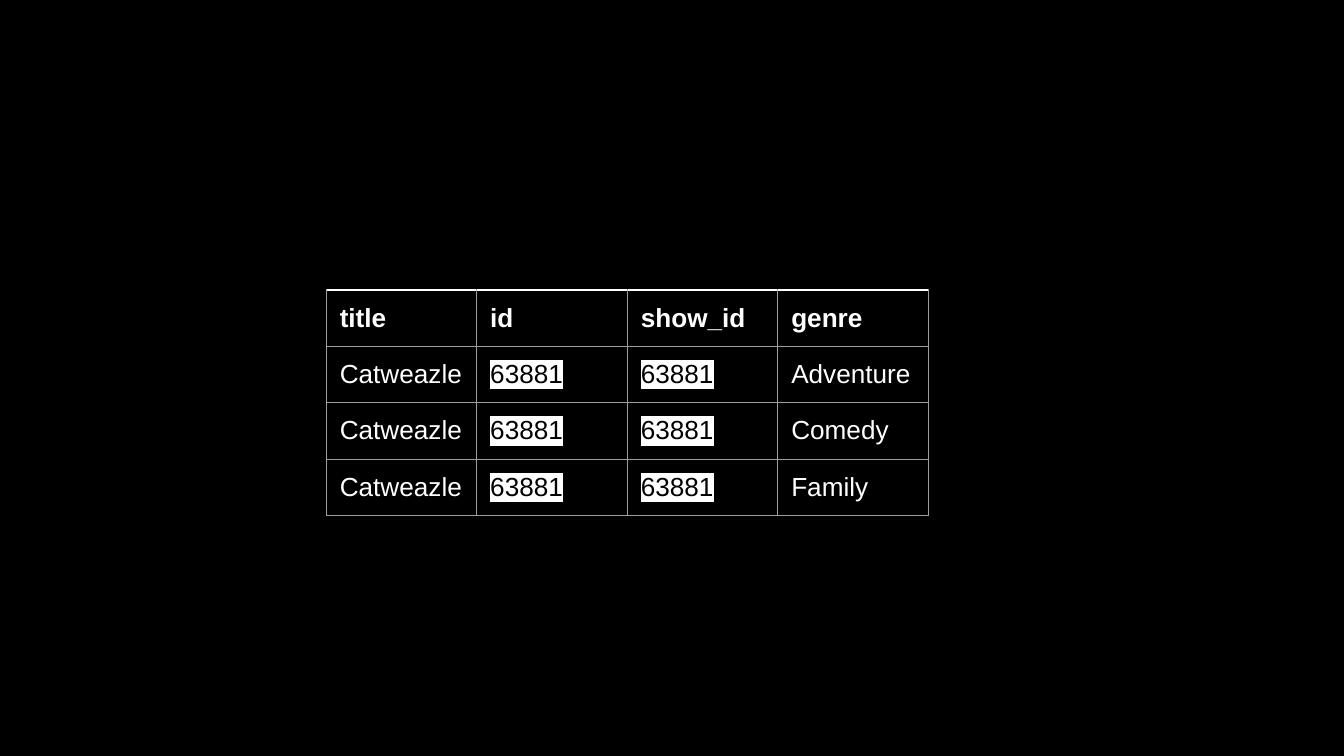
import pptx
import pptx.util
import pptx.dml.color
import pptx.oxml
import pptx.oxml.ns
from lxml import etree

Pt = pptx.util.Pt
qn = pptx.oxml.ns.qn

# Content: the two joined tables, back to front
SHOW = "63881"
GENRES = [
    ["show_id", "genre"],
    [SHOW, "Adventure"],
    [SHOW, "Comedy"],
    [SHOW, "Family"],
]
TITLES = [["title", "id"]] + [["Catweazle", SHOW]] * 3

COLORS = {"back": "000000", "text": "FFFFFF", "mark": "FFFFFF",
          "key": "000000", "grid": "9E9E9E", "top": "FFFFFF"}
LEFT, TOP = 174.8, 155.4
COL, ROW = 80.64, 30.2
PAD, SIZE, LINE = 7.2, 14, 0.75


def rgb(name):
    return pptx.dml.color.RGBColor.from_string(COLORS[name])


def add_color(parent, tag, name):
    node = etree.SubElement(parent, qn(tag))
    etree.SubElement(node, qn("a:srgbClr")).set("val", COLORS[name])
    return node


def set_grid(cell, head):
    props = cell._tc.get_or_add_tcPr()
    for i, side in enumerate("LRTB"):
        line = etree.Element(qn("a:ln" + side), w=str(Pt(LINE)))
        add_color(line, "a:solidFill", "top" if head and side == "T" else "grid")
        props.insert(i, line)


def set_text(cell, text, head):
    cell.text_frame.text = text
    run = cell.text_frame.paragraphs[0].runs[0]
    font = run.font
    font.name, font.size, font.bold = "Arial", Pt(SIZE), head
    font.color.rgb = rgb("key" if text == SHOW else "text")
    if text == SHOW:
        props = run._r.get_or_add_rPr()
        mark = add_color(props, "a:highlight", "mark")
        props.find(qn("a:solidFill")).addnext(mark)


def add_grid(slide, rows, left):
    count, width = len(rows), len(rows[0])
    table = slide.shapes.add_table(count, width, Pt(left), Pt(TOP),
                                   Pt(COL * width), Pt(ROW * count)).table
    table.first_row = table.horz_banding = False
    for col in table.columns:
        col.width = Pt(COL)
    for r, row in enumerate(rows):
        table.rows[r].height = Pt(ROW)
        for c, text in enumerate(row):
            cell = table.cell(r, c)
            cell.margin_left = cell.margin_right = Pt(PAD)
            cell.margin_top = cell.margin_bottom = Pt(PAD)
            cell.fill.background()
            set_grid(cell, r == 0)
            set_text(cell, text, r == 0)


def main():
    deck = pptx.Presentation()
    deck.slide_width, deck.slide_height = Pt(720), Pt(405)
    slide = deck.slides.add_slide(deck.slide_layouts[6])
    fill = slide.background.fill
    fill.solid()
    fill.fore_color.rgb = rgb("back")

    # Genre table stands right of the title table
    add_grid(slide, GENRES, LEFT + 2 * COL)
    add_grid(slide, TITLES, LEFT)
    deck.save("out.pptx")


if __name__ == "__main__":
    main()
